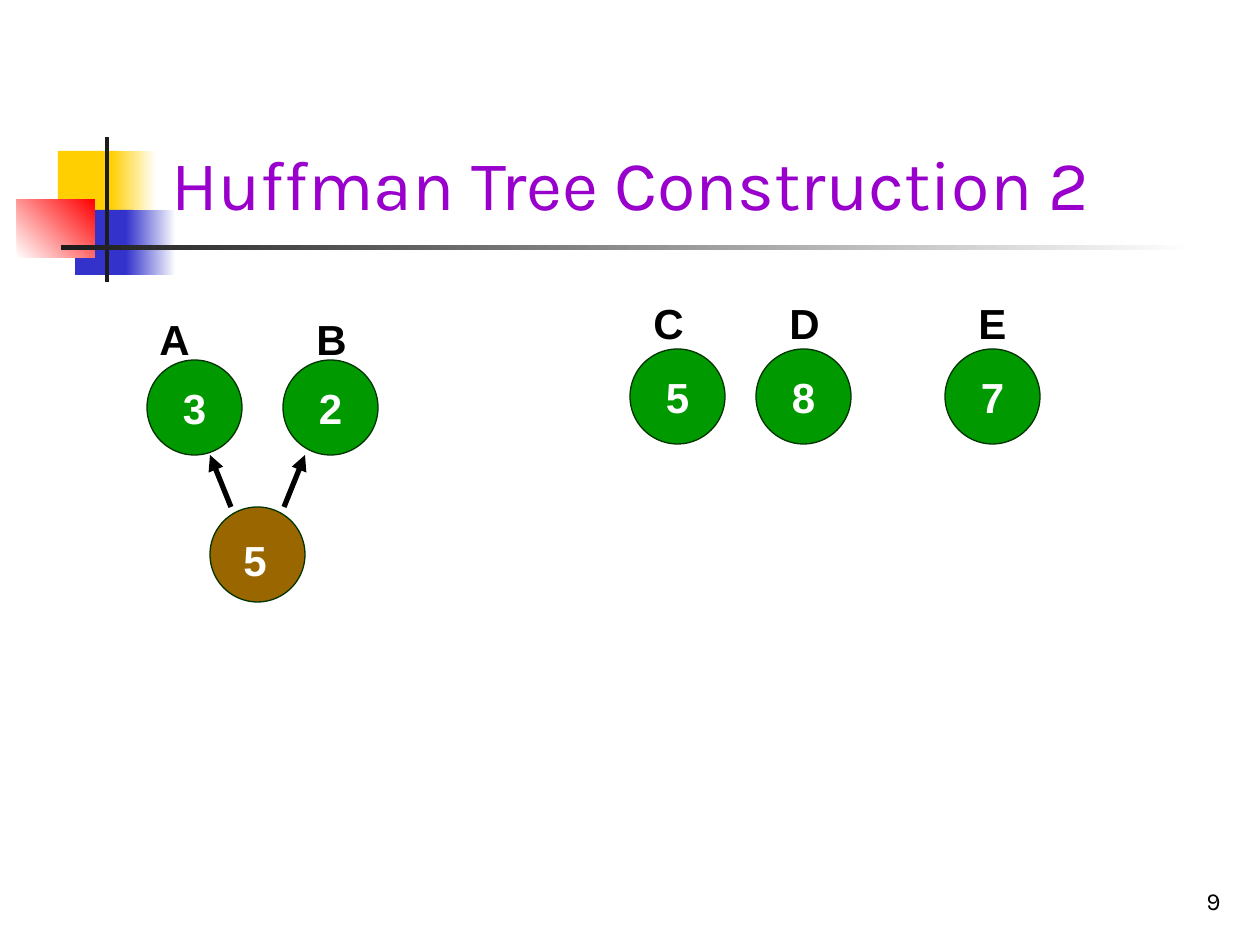
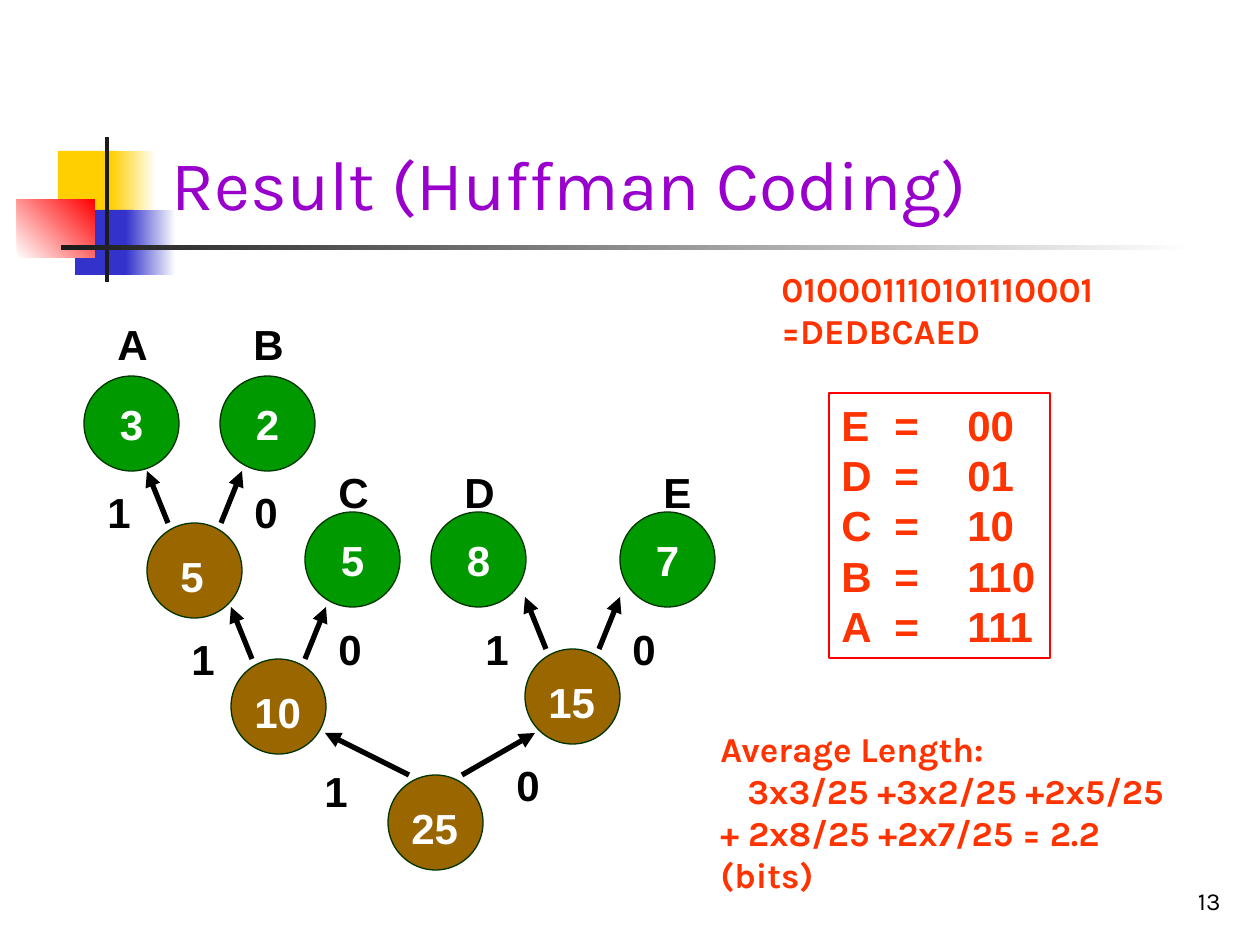
from lxml import etree
from pptx import Presentation
from pptx import util as u
from pptx.dml.color import RGBColor
from pptx.enum import shapes, text
from pptx.oxml.ns import qn

PX = 914400 / 126
PURPLE, GREEN, BROWN, RIM = "9900CC", "009900", "996600", "003300"
YELLOW, BLUE, RED, INK = "FFCF01", "3333CC", "FF0000", "1C1C1C"
WHITE, BLACK, ORANGE = "FFFFFF", "000000", "FF3300"
SANS, KARLA = "Arial", "Karla"
NODE = 95       # diameter of a tree node
STEM = 21       # inset of an arrow's start from the node's edge
RISE = 52       # height of an arrow between two levels
OVAL, RECT = shapes.MSO_SHAPE.OVAL, shapes.MSO_SHAPE.RECTANGLE
LEFT, CENTER, RIGHT = (text.PP_ALIGN.LEFT, text.PP_ALIGN.CENTER,
                       text.PP_ALIGN.RIGHT)
TOP, MIDDLE, BOTTOM = (text.MSO_ANCHOR.TOP, text.MSO_ANCHOR.MIDDLE,
                       text.MSO_ANCHOR.BOTTOM)


def px(n):
    return u.Emu(round(n * PX))


def rgb(color):
    return RGBColor.from_string(color)


def write(sp, content, size=24, font=SANS, color=BLACK, bold=True, align=LEFT,
          anchor=TOP, wrap=False, tabs=()):
    """Fill a shape with one paragraph per line of content."""
    tf = sp.text_frame
    tf.auto_size = text.MSO_AUTO_SIZE.NONE
    tf.word_wrap = wrap
    tf.vertical_anchor = anchor
    tf.margin_left = tf.margin_right = u.Inches(0.1)
    tf.margin_top = tf.margin_bottom = u.Inches(0.05)
    for i, line in enumerate(content.split("\n")):
        p = tf.paragraphs[0] if i == 0 else tf.add_paragraph()
        p.alignment = align
        if tabs:
            tab_list = etree.SubElement(p._p.get_or_add_pPr(), qn("a:tabLst"))
            for pos in tabs:
                etree.SubElement(tab_list, qn("a:tab"), pos=str(px(pos)), algn="l")
        r = p.add_run()
        r.text = line
        r.font.size, r.font.name, r.font.bold = u.Pt(size), font, bold
        r.font.color.rgb = rgb(color)
    return tf


def add_text(s, content, x, y, w=55, h=63, **fmt):
    return write(s.shapes.add_textbox(px(x), px(y), px(w), px(h)), content, **fmt)


def add_shape(s, kind, x, y, w, h, fill=None, line=None, fade=None, angle=0):
    """Draw a preset shape; fade is the end colour of a gradient from fill."""
    sp = s.shapes.add_shape(kind, px(x), px(y), px(w), px(h))
    sp.shadow.inherit = False
    if fade:
        sp.fill.gradient()
        sp.fill.gradient_angle = angle
        for stop, color in zip(sp.fill.gradient_stops, (fill, fade)):
            stop.color.rgb = rgb(color)
    elif fill:
        sp.fill.solid()
        sp.fill.fore_color.rgb = rgb(fill)
    else:
        sp.fill.background()
    if line:
        sp.line.color.rgb = rgb(line)
        sp.line.width = u.Pt(0.75)
    else:
        sp.line.fill.background()
    return sp


def add_arrow(s, x1, y1, x2, y2):
    cx = s.shapes.add_connector(shapes.MSO_CONNECTOR.STRAIGHT,
                                px(x1), px(y1), px(x2), px(y2))
    cx.line.color.rgb = rgb(BLACK)
    cx.line.width = u.Pt(3)
    etree.SubElement(cx.line._get_or_add_ln(), qn("a:tailEnd"), type="triangle")
    etree.SubElement(cx._element.spPr, qn("a:effectLst"))


def add_leaf(s, letter, weight, x, y, letter_dx, letter_dy):
    sp = add_shape(s, OVAL, x, y, NODE, NODE, GREEN, RIM)
    write(sp, weight, color=WHITE, align=CENTER, anchor=MIDDLE)
    add_text(s, letter, x + letter_dx, y - letter_dy)


def add_inner(s, weight, x, y, left_tip=None, right_tip=None, rise=RISE):
    """Draw an inner node with arrows to its two children."""
    add_shape(s, OVAL, x, y, NODE, NODE, BROWN, RIM)
    add_text(s, weight, x + (21 if len(weight) == 1 else 11), y + 21,
             w=24 + 24 * len(weight), color=WHITE)
    add_arrow(s, x + STEM, y, left_tip or x, y - rise)
    add_arrow(s, x + NODE - STEM, y, right_tip or x + NODE, y - rise)


def add_slide(prs, title, number):
    s = prs.slides.add_slide(prs.slide_layouts[5])
    add_shape(s, RECT, 58, 151, 60, 66, YELLOW)
    add_shape(s, RECT, 111, 151, 45, 66, YELLOW, fade=WHITE)
    add_shape(s, RECT, 75, 210, 58, 65, BLUE)
    add_shape(s, RECT, 126, 210, 50, 65, BLUE, fade=WHITE)
    add_shape(s, RECT, 17, 199, 78, 59, WHITE, fade=RED, angle=45)
    add_shape(s, RECT, 105, 137, 4, 145, INK)
    add_shape(s, RECT, 61, 245, 1134, 5, INK, fade=WHITE)
    add_text(s, number, 971, 859, 262, 63, size=14, font=KARLA, bold=False,
             align=RIGHT, anchor=BOTTOM, wrap=True)
    sp = s.shapes.title
    sp.left, sp.top, sp.width, sp.height = px(159), px(29), px(1074), px(202)
    write(sp, title, size=40, font=KARLA, color=PURPLE, bold=False,
          anchor=BOTTOM, wrap=True)
    return s


def build_construction(prs):
    s = add_slide(prs, "Huffman Tree Construction 2", "9")
    for leaf in (("A", "3", 147, 360, 0, 53), ("B", "2", 283, 360, 21, 53),
                 ("C", "5", 630, 349, 11, 58), ("D", "8", 756, 349, 21, 58),
                 ("E", "7", 945, 349, 21, 58)):
        add_leaf(s, *leaf)
    add_inner(s, "5", 210, 507)


def build_result(prs):
    s = add_slide(prs, "Result (Huffman Coding)", "13")
    for leaf in (("A", "3", 84, 376, 21, 64), ("B", "2", 220, 376, 21, 64),
                 ("C", "5", 305, 512, 21, 52), ("D", "8", 431, 512, 21, 52),
                 ("E", "7", 620, 512, 31, 52)):
        add_leaf(s, *leaf)
    add_inner(s, "5", 147, 523)
    add_inner(s, "10", 231, 659)
    add_inner(s, "15", 525, 649)
    add_inner(s, "25", 388, 775, left_tip=325, right_tip=535, rise=42)
    for bit, x, y in (("1", 312, 759), ("1", 179, 627), ("1", 95, 480),
                      ("1", 473, 617), ("0", 504, 753), ("0", 620, 617),
                      ("0", 242, 480), ("0", 326, 617)):
        add_text(s, bit, x, y, w=48)

    codes = (("E", "00"), ("D", "01"), ("C", "10"), ("B", "110"), ("A", "111"))
    box = add_shape(s, RECT, 829, 393, 221, 265, line=RED)
    write(box, "\n".join(f"{letter}\t=\t{code}" for letter, code in codes),
          color=ORANGE, tabs=(53, 126))

    note = dict(size=20, font=KARLA, color=ORANGE)
    add_text(s, "010001110101110001\n=DEDBCAED", 769, 261, 386, 97, **note)
    tf = add_text(s, "Average Length:\n3x3/25 +3x2/25 +2x5/25\n"
                  "+ 2x8/25 +2x7/25 = 2.2 (bits)", 708, 721, 500, 139,
                  wrap=True, **note)
    tf.paragraphs[1]._p.get_or_add_pPr().set("indent", str(px(27)))


def main():
    prs = Presentation()
    prs.slide_width, prs.slide_height = u.Inches(10), u.Inches(7.5)
    build_construction(prs)
    build_result(prs)
    prs.save("out.pptx")


if __name__ == "__main__":
    main()
